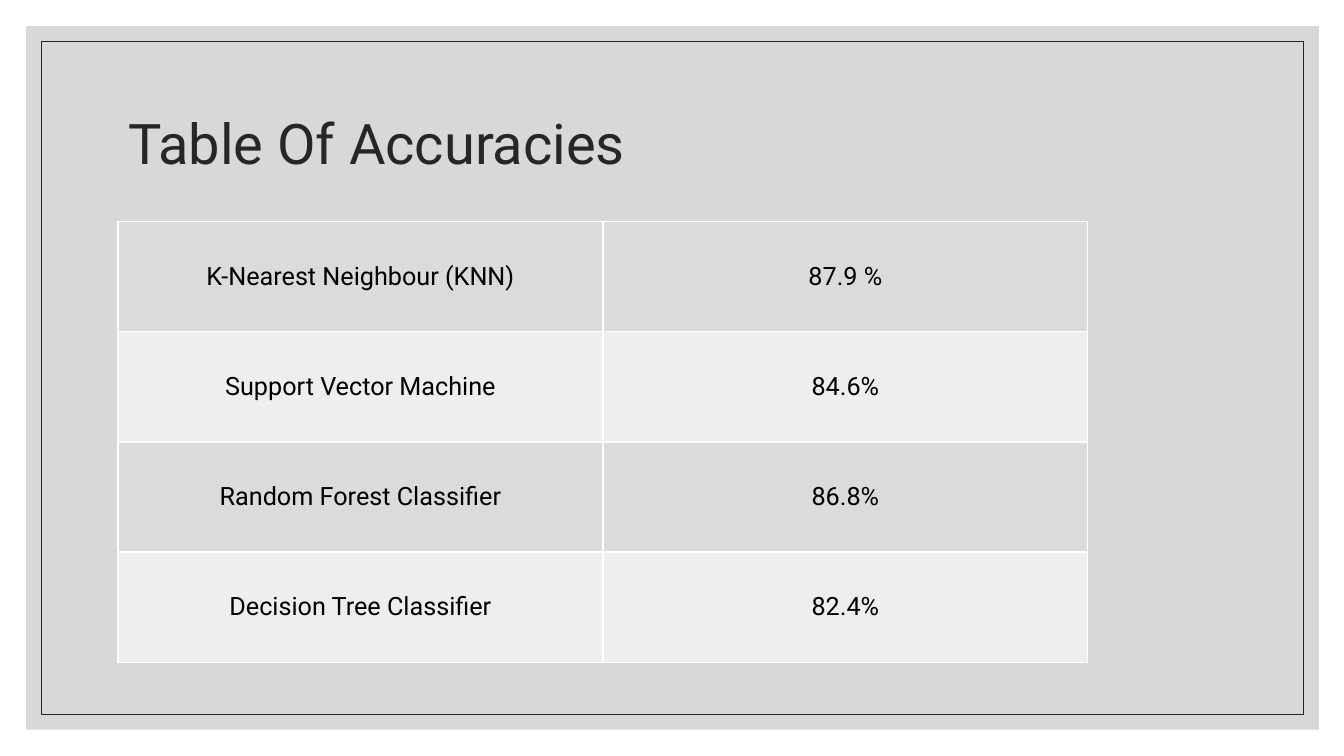
from dataclasses import dataclass

from lxml import etree
from pptx import Presentation
from pptx import util as u
from pptx.dml.color import RGBColor
from pptx.enum import shapes, text
from pptx.oxml.ns import qn


@dataclass(frozen=True)
class Theme:
    font: str = "Roboto"
    title_size: int = 40
    cell_size: int = 18
    ink: str = "262626"
    cell_ink: str = "000000"
    panel: str = "BFBFBF"
    panel_opacity: int = 60
    bands: tuple = ("DDDADA", "EFEEEE")
    border: str = "FFFFFF"


THEME = Theme()

ACCURACIES = [
    ("K-Nearest Neighbour (KNN)", "87.9 %"),
    ("Support Vector Machine", "84.6%"),
    ("Random Forest Classifier", "86.8%"),
    ("Decision Tree Classifier", "82.4%"),
]


def rgb(color):
    return RGBColor.from_string(color)


def style_paragraph(paragraph, size, color, alignment):
    paragraph.alignment = alignment
    paragraph.font.name = THEME.font
    paragraph.font.size = u.Pt(size)
    paragraph.font.color.rgb = rgb(color)


def add_backdrop(slide, margin, width, height):
    """Add a plain rectangle behind the title."""
    shape = slide.shapes.add_shape(
        shapes.MSO_SHAPE.RECTANGLE,
        u.Inches(margin), u.Inches(margin), u.Inches(width), u.Inches(height))
    shape.shadow.inherit = False
    slide.shapes.title.element.addprevious(shape.element)
    return shape


def add_panel(slide):
    panel = add_backdrop(slide, 0.26, 12.82, 6.98)
    panel.line.fill.background()
    panel.fill.solid()
    panel.fill.fore_color.rgb = rgb(THEME.panel)
    color = panel.element.spPr.find(qn("a:solidFill")).find(qn("a:srgbClr"))
    etree.SubElement(color, qn("a:alpha"), val=str(THEME.panel_opacity * 1000))


def add_frame(slide):
    frame = add_backdrop(slide, 0.41, 12.52, 6.68)
    frame.fill.background()
    frame.line.color.rgb = rgb(THEME.ink)
    frame.line.width = u.Pt(0.5)


def set_title(slide, wording):
    title = slide.shapes.title
    title.left, title.top = u.Inches(1.17), u.Inches(0.7)
    title.width, title.height = u.Inches(11), u.Inches(1.5)
    title.text_frame.text = wording
    title.text_frame.auto_size = text.MSO_AUTO_SIZE.NONE
    title.text_frame.vertical_anchor = text.MSO_ANCHOR.MIDDLE
    paragraph = title.text_frame.paragraphs[0]
    paragraph.line_spacing = 0.9
    style_paragraph(paragraph, THEME.title_size, THEME.ink, text.PP_ALIGN.LEFT)


def set_borders(cell):
    properties = cell._tc.get_or_add_tcPr()
    for index, side in enumerate(("lnL", "lnR", "lnT", "lnB")):
        line = etree.Element(qn(f"a:{side}"), w=str(u.Pt(1)))
        fill = etree.SubElement(line, qn("a:solidFill"))
        etree.SubElement(fill, qn("a:srgbClr"), val=THEME.border)
        properties.insert(index, line)


def fill_cell(cell, wording, band):
    cell.text = wording
    cell.vertical_anchor = text.MSO_ANCHOR.MIDDLE
    cell.fill.solid()
    cell.fill.fore_color.rgb = rgb(band)
    style_paragraph(cell.text_frame.paragraphs[0], THEME.cell_size,
                    THEME.cell_ink, text.PP_ALIGN.CENTER)
    set_borders(cell)


def add_accuracy_table(slide, rows):
    table = slide.shapes.add_table(
        len(rows), len(rows[0]), u.Inches(1.17), u.Inches(2.2),
        u.Inches(9.62), u.Inches(4.37)).table
    table.first_row = False
    table.horz_banding = False
    for row, values in enumerate(rows):
        band = THEME.bands[row % len(THEME.bands)]
        for column, wording in enumerate(values):
            fill_cell(table.cell(row, column), wording, band)


def main():
    presentation = Presentation()
    presentation.slide_width = u.Inches(13.33)
    presentation.slide_height = u.Inches(7.5)
    slide = presentation.slides.add_slide(presentation.slide_layouts[5])

    # Backdrop
    add_panel(slide)
    add_frame(slide)

    # Content
    set_title(slide, "Table Of Accuracies")
    add_accuracy_table(slide, ACCURACIES)

    presentation.save("out.pptx")


if __name__ == "__main__":
    main()
